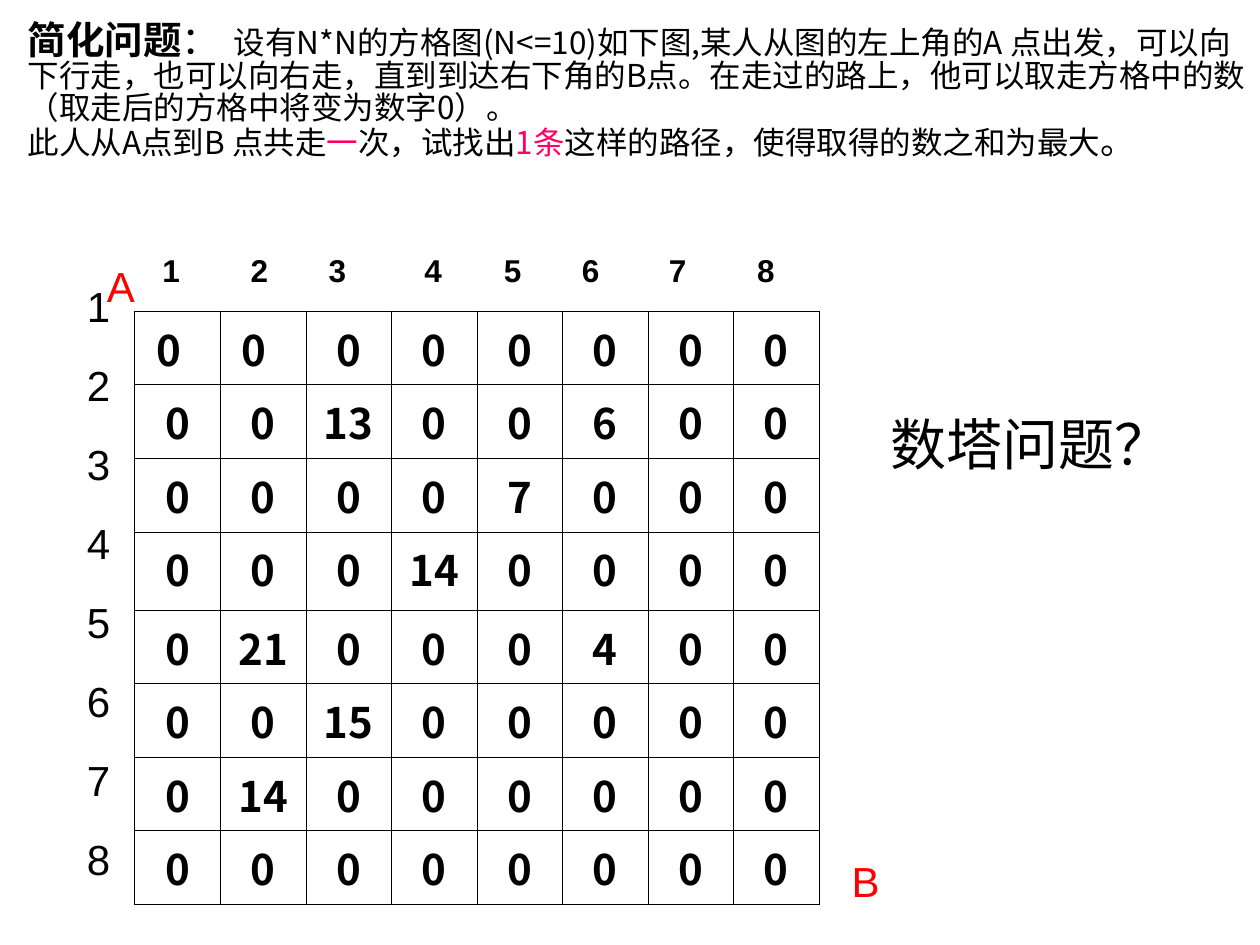
"""Build the simplified grid path problem slide."""
from dataclasses import dataclass

from lxml.etree import SubElement
from pptx import Presentation
from pptx.dml.color import RGBColor
from pptx.enum.text import MSO_ANCHOR as Anchor, MSO_AUTO_SIZE as AutoSize, PP_ALIGN as Align
from pptx.oxml import parse_xml
from pptx.oxml.ns import nsdecls, qn
from pptx.util import Inches, Pt

COLORS = {"ink": "000000", "accent": "FF0066", "corner": "FF0000"}
CJK = "Noto Sans CJK SC"
SIZE = 8
NUMBERS = [str(number) for number in range(1, SIZE + 1)]
GRID_VALUES = {(1, 2): 13, (1, 5): 6, (2, 4): 7, (3, 3): 14,
               (4, 1): 21, (4, 5): 4, (5, 2): 15, (6, 1): 14}
LEFT_ALIGNED = {(0, 0), (0, 1)}
COLUMN_CENTERS = [0.27, 0.97, 1.59, 2.35, 2.98, 3.6, 4.29, 4.99]


@dataclass
class Style:
    size: float
    font: str = "Arial"
    color: str = "ink"
    bold: bool = False
    tracking: float = 0


@dataclass
class Label:
    lines: list[str]
    left: float
    top: float
    width: float
    height: float
    style: Style
    gap: float = 0


PLAIN = Style(18, CJK)
ACCENT = Style(18, CJK, "accent")
CORNER = Style(24, color="corner")
STATEMENT = [
    [("简化问题", Style(22, CJK, bold=True)),
     ("：", Style(22, CJK)),
     (" ", Style(18, CJK, tracking=4)),
     ("设有N*N的方格图(N<=10)如下图,某人从图的左上角的A 点出发，可以向下行走，"
      "也可以向右走，直到到达右下角的B点。在走过的路上，他可以取走方格中的数"
      "（取走后的方格中将变为数字0）。", PLAIN)],
    [("此人从A点到B 点共走", PLAIN), ("一", ACCENT), ("次，试找出", PLAIN),
     ("1条", ACCENT), ("这样的路径，使得取得的数之和为最大", PLAIN),
     ("。", Style(20, CJK))],
]
COLUMN_HEADS = Label(["\t" + "\t".join(NUMBERS)], 0.99, 1.94, 5.43, 0.4,
                     Style(18, bold=True))
LABELS = [
    Label(NUMBERS, 0.59, 2.18, 0.55, 5.37, Style(24), 16.3),
    Label(["A"], 0.75, 2.02, 0.38, 0.5, CORNER),
    Label(["B"], 6.66, 6.74, 0.38, 0.5, CORNER),
    Label(["数塔问题？"], 6.97, 3.2, 2.44, 0.64, Style(32, "Times New Roman")),
]


def style_run(run, style: Style) -> None:
    font = run.font
    font.size, font.bold, font.name = Pt(style.size), style.bold, style.font
    font.color.rgb = RGBColor.from_string(COLORS[style.color])
    properties = run._r.get_or_add_rPr()
    SubElement(properties, qn("a:ea")).set("typeface", CJK)
    if style.tracking:
        properties.set("spc", str(int(style.tracking * 100)))


def add_statement(slide) -> None:
    statement = slide.shapes.title
    statement.left, statement.top = Inches(0.12), Inches(0.13)
    statement.width, statement.height = Inches(9.92), Inches(1.4)
    frame = statement.text_frame
    frame.word_wrap, frame.auto_size = True, AutoSize.NONE
    frame.vertical_anchor = Anchor.TOP
    for index, parts in enumerate(STATEMENT):
        paragraph = frame.add_paragraph() if index else frame.paragraphs[0]
        paragraph.alignment, paragraph.line_spacing = Align.LEFT, 0.85
        for words, style in parts:
            run = paragraph.add_run()
            run.text = words
            style_run(run, style)


def add_label(slide, label: Label):
    box = slide.shapes.add_textbox(Inches(label.left), Inches(label.top),
                                   Inches(label.width), Inches(label.height))
    frame = box.text_frame
    frame.word_wrap = True
    frame.text = "\n".join(label.lines)
    for index, paragraph in enumerate(frame.paragraphs):
        if index and label.gap:
            paragraph.space_before = Pt(label.gap)
        style_run(paragraph.runs[0], label.style)
    return frame


def add_column_heads(slide) -> None:
    paragraph = add_label(slide, COLUMN_HEADS).paragraphs[0]
    tabs = SubElement(paragraph._p.get_or_add_pPr(), qn("a:tabLst"))
    for center in COLUMN_CENTERS:
        tab = SubElement(tabs, qn("a:tab"))
        tab.set("pos", str(Inches(center)))
        tab.set("algn", "ctr")


def outline_cell(cell) -> None:
    properties = cell._tc.get_or_add_tcPr()
    for index, side in enumerate("LRTB"):
        properties.insert(index, parse_xml(
            f'<a:ln{side} {nsdecls("a")} w="{Pt(0.45)}"><a:solidFill>'
            f'<a:srgbClr val="{COLORS["ink"]}"/></a:solidFill></a:ln{side}>'))


def add_grid(slide) -> None:
    grid = slide.shapes.add_table(SIZE, SIZE, Inches(1.07), Inches(2.47),
                                  Inches(5.43), Inches(4.68)).table
    grid.first_row = grid.horz_banding = False
    for column in grid.columns:
        column.width = Inches(5.43 / SIZE)
    for index, row in enumerate(grid.rows):
        row.height = Inches(0.62 if index == 3 else 0.58)
    for row in range(SIZE):
        for column in range(SIZE):
            cell = grid.cell(row, column)
            cell.text_frame.text = str(GRID_VALUES.get((row, column), 0))
            paragraph = cell.text_frame.paragraphs[0]
            if (row, column) in LEFT_ALIGNED:
                cell.margin_left = Inches(0.17)
            else:
                paragraph.alignment = Align.CENTER
            style_run(paragraph.runs[0], Style(24, CJK, bold=True))
            cell.fill.background()
            outline_cell(cell)


def main() -> None:
    deck = Presentation()
    deck.slide_width, deck.slide_height = Inches(10), Inches(7.5)
    slide = deck.slides.add_slide(deck.slide_layouts.get_by_name("Title Only"))
    add_grid(slide)
    add_column_heads(slide)
    add_statement(slide)
    for label in LABELS:
        add_label(slide, label)
    deck.save("out.pptx")


if __name__ == "__main__":
    main()
